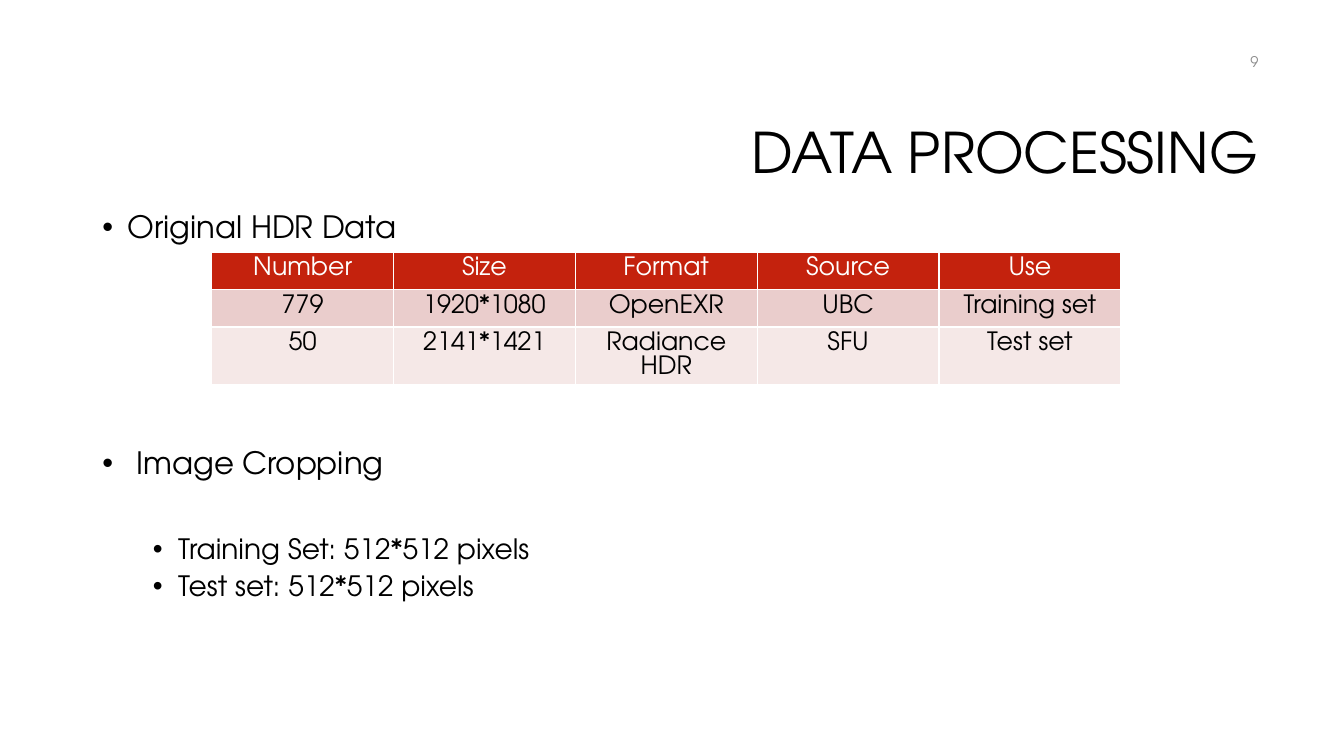
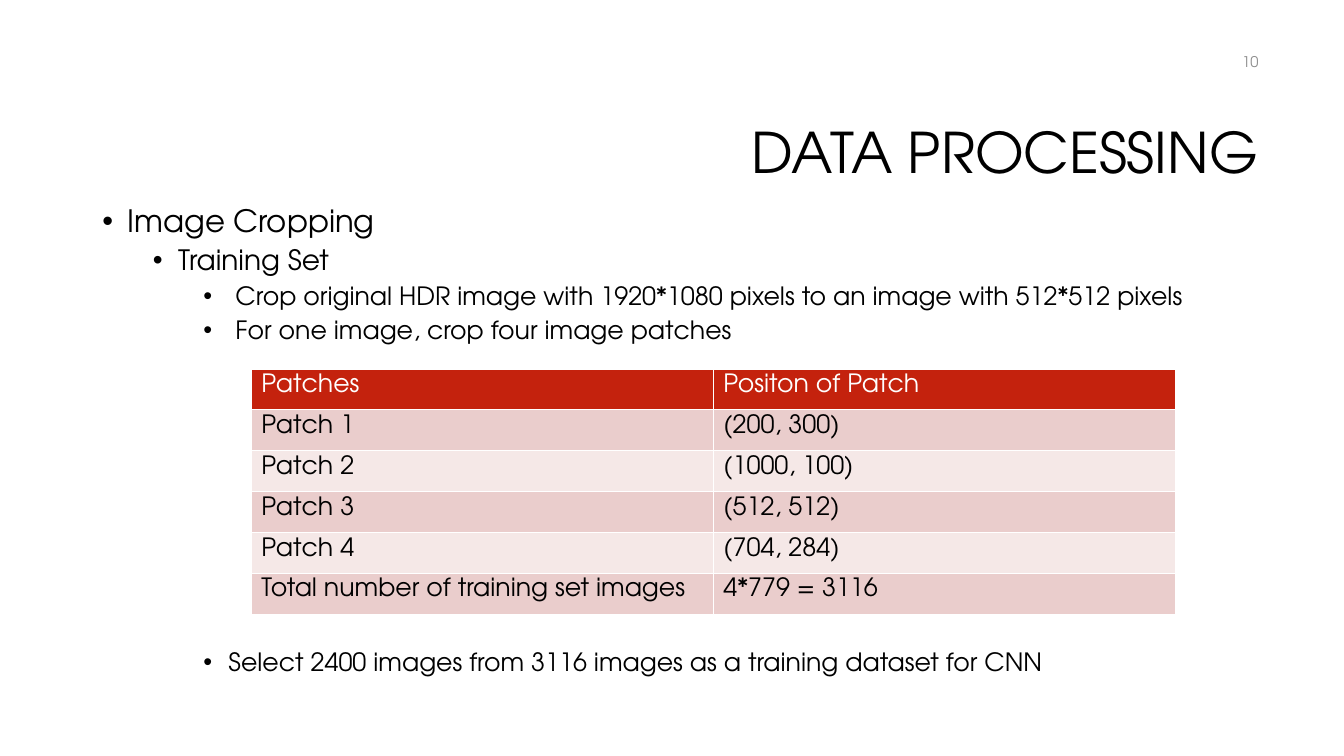
from dataclasses import dataclass

from lxml import etree
from pptx import Presentation
from pptx import util as u
from pptx.dml.color import RGBColor
from pptx.enum import text
from pptx.oxml import ns

# Shared look
FONT = "TeX Gyre Adventor"
COLORS = {
    "text": "000000",
    "number": "8C8C8C",
    "header": "C4220D",
    "band_dark": "EACDCC",
    "band_light": "F5E8E7",
    "white": "FFFFFF",
}
BULLET_SIZES = (22, 20, 18)  # by outline level
HANGING = 18
LEVEL_STEP = 36


@dataclass(frozen=True)
class Box:
    left: float
    top: float
    width: float
    height: float

    def lengths(self) -> tuple:
        return tuple(u.Pt(v) for v in (self.left, self.top, self.width, self.height))


@dataclass(frozen=True)
class Bullet:
    words: str
    level: int = 0
    before: float = 5
    extra_gap: float = 0  # added between bullet and text


@dataclass(frozen=True)
class Grid:
    left: float
    top: float
    column_width: float
    row_height: float
    alignment: text.PP_ALIGN
    rows: tuple


@dataclass(frozen=True)
class Page:
    number: int
    body: Box
    bullets: tuple
    grid: Grid


TITLE = "DATA PROCESSING"
TITLE_BOX = Box(228, 60.5, 678, 101.5)
NUMBER_BOX = Box(690, 29.5, 216, 29)

# Slide content
PAGES = (
    Page(
        9,
        Box(66, 147.6, 828, 353.5),
        (
            Bullet("Original HDR Data", before=0),
            Bullet("Image Cropping", before=145, extra_gap=6.4),
            Bullet("Training Set: 512*512 pixels", 1, before=38.5),
            Bullet("Test set: 512*512 pixels", 1),
        ),
        Grid(151.2, 180, 129.9, 26.8, text.PP_ALIGN.CENTER, (
            ("Number", "Size", "Format", "Source", "Use"),
            ("779", "1920*1080", "OpenEXR", "UBC", "Training set"),
            ("50", "2141*1421", "Radiance HDR", "SFU", "Test set"),
        )),
    ),
    Page(
        10,
        Box(66, 143.5, 867, 373.5),
        (
            Bullet("Image Cropping", before=0),
            Bullet("Training Set", 1),
            Bullet("Crop original HDR image with 1920*1080 pixels to an image with 512*512 pixels",
                   2, extra_gap=5),
            Bullet("For one image, crop four image patches", 2, extra_gap=5),
            Bullet("Select 2400 images from 3116 images as a training dataset for CNN",
                   2, before=218),
        ),
        Grid(179.5, 263.5, 330, 29.2, text.PP_ALIGN.LEFT, (
            ("Patches", "Positon of Patch"),
            ("Patch 1", "(200, 300)"),
            ("Patch 2", "(1000, 100)"),
            ("Patch 3", "(512, 512)"),
            ("Patch 4", "(704, 284)"),
            ("Total number of training set images", "4*779 = 3116"),
        )),
    ),
)


# Formatting helpers
def style(paragraph, size: float, color: str, alignment: text.PP_ALIGN,
          spacing: float = 1.0) -> None:
    paragraph.alignment = alignment
    paragraph.line_spacing = spacing
    font = paragraph.font
    font.name, font.size, font.bold = FONT, u.Pt(size), False
    font.color.rgb = RGBColor.from_string(COLORS[color])


def place(shape, box: Box, anchor: text.MSO_ANCHOR):
    shape.left, shape.top, shape.width, shape.height = box.lengths()
    frame = shape.text_frame
    frame.word_wrap = True
    frame.auto_size = text.MSO_AUTO_SIZE.NONE
    frame.vertical_anchor = anchor
    return frame


# Title and slide number
def add_heading(slide, number: int) -> None:
    number_shape = slide.shapes.add_textbox(*NUMBER_BOX.lengths())
    for shape, box, words, size, color, spacing in (
        (slide.shapes.title, TITLE_BOX, TITLE, 40, "text", 0.9),
        (number_shape, NUMBER_BOX, str(number), 10.5, "number", 1.0),
    ):
        frame = place(shape, box, text.MSO_ANCHOR.MIDDLE)
        frame.text = words
        style(frame.paragraphs[0], size, color, text.PP_ALIGN.RIGHT, spacing)


# Bulleted outline
def add_bullets(slide, box: Box, bullets: tuple) -> None:
    frame = place(slide.placeholders[1], box, text.MSO_ANCHOR.TOP)
    for index, bullet in enumerate(bullets):
        paragraph = frame.add_paragraph() if index else frame.paragraphs[0]
        paragraph.text = bullet.words
        paragraph.level = bullet.level
        hanging = HANGING + bullet.extra_gap
        properties = paragraph._p.get_or_add_pPr()
        properties.set("marL", str(u.Pt(bullet.level * LEVEL_STEP + hanging)))
        properties.set("indent", str(-u.Pt(hanging)))
        etree.SubElement(properties, ns.qn("a:buChar")).set("char", "•")
        paragraph.space_before = u.Pt(bullet.before)
        style(paragraph, BULLET_SIZES[bullet.level], "text", text.PP_ALIGN.LEFT, 0.9)


# Table
def add_borders(cell) -> None:
    properties = cell._tc.get_or_add_tcPr()
    for side in ("lnL", "lnR", "lnT", "lnB"):
        line = etree.SubElement(properties, ns.qn(f"a:{side}"), w=str(u.Pt(1)))
        fill = etree.SubElement(line, ns.qn("a:solidFill"))
        etree.SubElement(fill, ns.qn("a:srgbClr"), val=COLORS["white"])


def add_grid(slide, grid: Grid) -> None:
    row_count, column_count = len(grid.rows), len(grid.rows[0])
    box = Box(grid.left, grid.top, grid.column_width * column_count,
              grid.row_height * row_count)
    table = slide.shapes.add_table(row_count, column_count, *box.lengths()).table
    for row_index, row in enumerate(grid.rows):
        band = "band_dark" if row_index % 2 else "band_light"
        fill, color = (band, "text") if row_index else ("header", "white")
        for column_index, words in enumerate(row):
            cell = table.cell(row_index, column_index)
            add_borders(cell)
            cell.fill.solid()
            cell.fill.fore_color.rgb = RGBColor.from_string(COLORS[fill])
            cell.text = words
            style(cell.text_frame.paragraphs[0], 18, color, grid.alignment)


def main() -> None:
    presentation = Presentation()
    presentation.slide_width, presentation.slide_height = u.Pt(960), u.Pt(540)
    for page in PAGES:
        slide = presentation.slides.add_slide(presentation.slide_layouts[1])
        add_heading(slide, page.number)
        add_bullets(slide, page.body, page.bullets)
        add_grid(slide, page.grid)
    presentation.save("out.pptx")


if __name__ == "__main__":
    main()
